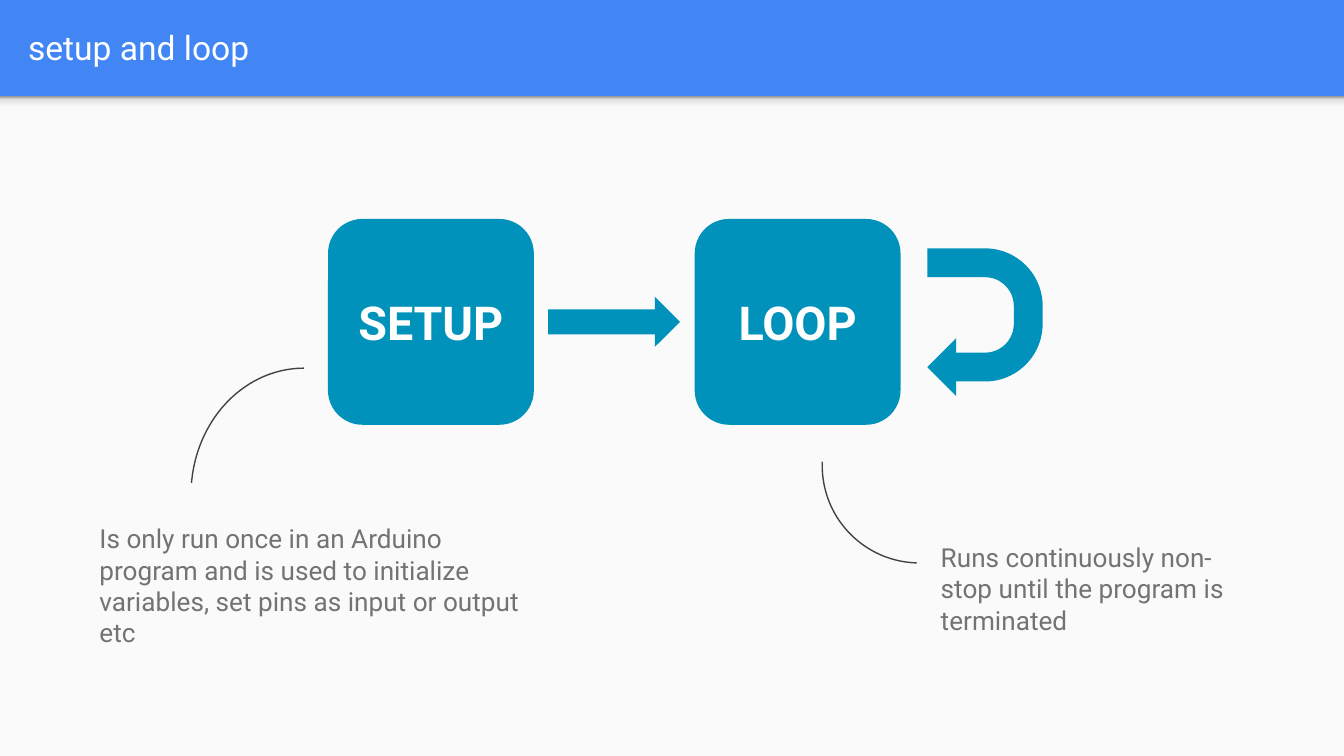
from copy import deepcopy
from dataclasses import dataclass

from pptx import Presentation
from pptx.dml.color import RGBColor
from pptx.enum.shapes import MSO_SHAPE
from pptx.enum.text import MSO_ANCHOR, MSO_AUTO_SIZE, PP_ALIGN
from pptx.oxml.ns import qn
from pptx.util import Cm, Pt

RECTANGLE, ROUNDED = MSO_SHAPE.RECTANGLE, MSO_SHAPE.ROUNDED_RECTANGLE
RIGHT_ARROW, U_TURN, ARC = MSO_SHAPE.RIGHT_ARROW, MSO_SHAPE.U_TURN_ARROW, MSO_SHAPE.ARC
TOP, MIDDLE = MSO_ANCHOR.TOP, MSO_ANCHOR.MIDDLE
LEFT, CENTER = PP_ALIGN.LEFT, PP_ALIGN.CENTER
FIXED = MSO_AUTO_SIZE.NONE

PAGE_WIDTH, PAGE_HEIGHT = 25.4, 14.29
HEADER_HEIGHT = 1.82


@dataclass(frozen=True)
class Theme:
    font: str = "Roboto"
    header: str = "4285F4"
    panel: str = "FAFAFA"
    accent: str = "0092BA"
    white: str = "FFFFFF"
    note: str = "737373"
    line: str = "424242"
    shadow: tuple = ((0, "F9F9F9"), (0.36, "F9F9F9"), (0.8, "DEDEDE"), (1, "999999"))
    title_size: int = 18
    block_size: int = 25
    note_size: int = 14
    line_width: float = 0.75


def rgb(value):
    return RGBColor.from_string(value)


class SlideBuilder:
    def __init__(self, page, theme):
        self.page, self.theme = page, theme
        fill = page.background.fill
        fill.solid()
        fill.fore_color.rgb = rgb(theme.header)

    def set_text(self, box, text, size, color, align=LEFT, anchor=TOP, bold=False):
        frame = box.text_frame
        inset = Cm(0.25)
        frame_format = {
            "word_wrap": True, "auto_size": FIXED, "vertical_anchor": anchor,
            "margin_left": inset, "margin_right": inset,
            "margin_top": inset, "margin_bottom": inset,
        }
        for name, value in frame_format.items():
            setattr(frame, name, value)
        para = frame.paragraphs[0]
        para.alignment = align
        span = para.add_run()
        span.text = text
        for name, value in {"name": self.theme.font, "size": Pt(size), "bold": bold}.items():
            setattr(span.font, name, value)
        span.font.color.rgb = rgb(color)

    def title(self, text, *bounds):
        box = self.page.shapes.title
        for name, value in zip(("left", "top", "width", "height"), bounds):
            setattr(box, name, Cm(value))
        self.set_text(box, text, self.theme.title_size, self.theme.white, anchor=MIDDLE)

    def shape(self, kind, *bounds, color=None, adjust=()):
        shape = self.page.shapes.add_shape(kind, *map(Cm, bounds))
        shape.shadow.inherit = False
        shape.line.fill.background()
        if color:
            shape.fill.solid()
            shape.fill.fore_color.rgb = rgb(color)
        else:
            shape.fill.background()
        for index, value in enumerate(adjust):
            shape.adjustments[index] = value
        return shape

    def header_shadow(self, *bounds):
        band = self.shape(RECTANGLE, *bounds)
        band.fill.gradient()
        band.fill.gradient_angle = 90
        # A new gradient has two stops; add the missing ones
        stops = band._element.spPr.find(".//" + qn("a:gsLst"))
        while len(stops) < len(self.theme.shadow):
            stops.append(deepcopy(stops[0]))
        for stop, (position, color) in zip(band.fill.gradient_stops, self.theme.shadow):
            stop.position = position
            stop.color.rgb = rgb(color)

    def block(self, text, left, top, size):
        box = self.shape(ROUNDED, left, top, size, size,
                         color=self.theme.accent, adjust=(0.167,))
        self.set_text(box, text, self.theme.block_size, self.theme.white, CENTER, MIDDLE, True)

    def arrow(self, kind, *bounds, adjust, rotation=0):
        self.shape(kind, *bounds, color=self.theme.accent, adjust=adjust).rotation = rotation

    def arc(self, *bounds, adjust, rotation=0):
        arc = self.shape(ARC, *bounds, adjust=adjust)
        arc.rotation = rotation
        arc._element.spPr.find(qn("a:xfrm")).set("flipH", "1")
        arc.line.color.rgb = rgb(self.theme.line)
        arc.line.width = Pt(self.theme.line_width)

    def note(self, text, *bounds):
        box = self.page.shapes.add_textbox(*map(Cm, bounds))
        self.set_text(box, text, self.theme.note_size, self.theme.note)


def main():
    deck = Presentation()
    deck.slide_width, deck.slide_height = Cm(PAGE_WIDTH), Cm(PAGE_HEIGHT)
    theme = Theme()
    slide = SlideBuilder(deck.slides.add_slide(deck.slide_layouts[5]), theme)

    # Header and content panel
    slide.shape(RECTANGLE, 0, HEADER_HEIGHT, PAGE_WIDTH, PAGE_HEIGHT - HEADER_HEIGHT,
                color=theme.panel)
    slide.header_shadow(0, HEADER_HEIGHT, PAGE_WIDTH, 0.3)
    slide.title("setup and loop", 0.28, 0.05, 24.5, 1.68)

    # Program flow
    for text, left in (("SETUP", 6.2), ("LOOP", 13.13)):
        slide.block(text, left, 4.14, 3.89)
    slide.arrow(RIGHT_ARROW, 10.36, 5.61, 2.49, 0.95, adjust=(0.5, 0.5))
    slide.arrow(U_TURN, 17.22, 5, 2.79, 2.18, adjust=(0.25, 0.25, 0.25, 0.5, 1), rotation=90)

    # Notes with their curved leaders (arc angles in units of 5/3 degree)
    slide.arc(3.61, 6.96, 4.27, 4.8, adjust=(162, 212.29))
    slide.note("Is only run once in an Arduino program and is used to initialize "
               "variables, set pins as input or output etc", 1.63, 9.63, 8.46, 2.9)
    slide.arc(15.54, 6.96, 3.68, 3.68, adjust=(106.64, 160.98), rotation=180)
    slide.note("Runs continuously non-stop until the program is terminated",
               17.53, 9.98, 6.07, 2.31)

    deck.save("out.pptx")


if __name__ == "__main__":
    main()
